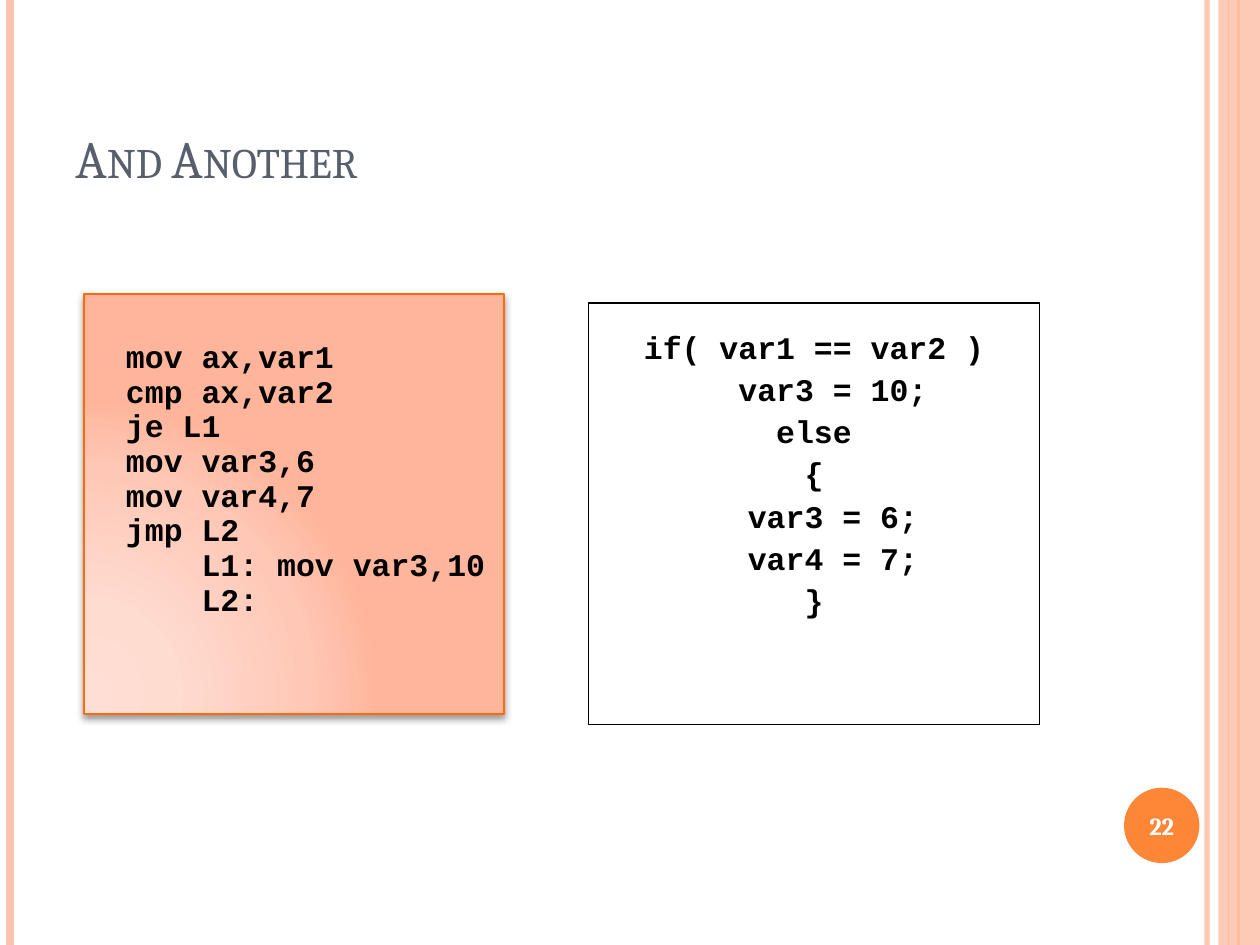
from dataclasses import dataclass
from typing import Optional

from lxml import etree
from pptx import Presentation
from pptx.dml.color import RGBColor
from pptx.enum.shapes import MSO_CONNECTOR, MSO_SHAPE
from pptx.enum.text import MSO_ANCHOR, PP_ALIGN
from pptx.oxml import parse_xml
from pptx.oxml.ns import nsdecls, qn
from pptx.util import Cm, Pt

LINE = MSO_CONNECTOR.STRAIGHT
RECT, OVAL = MSO_SHAPE.RECTANGLE, MSO_SHAPE.OVAL
TOP, MID, BASE = MSO_ANCHOR.TOP, MSO_ANCHOR.MIDDLE, MSO_ANCHOR.BOTTOM
LEFT, MIDST = PP_ALIGN.LEFT, PP_ALIGN.CENTER
WIDE, HIGH = 25.4, 19.05


@dataclass(frozen=True)
class Theme:
    pale: str = "FEC3AE"
    orange: str = "FE8637"
    edge: str = "FF6B0A"
    slate: str = "575F6D"
    black: str = "000000"
    white: str = "FFFFFF"
    glow: tuple = ((0, "FFDED5"), (30, "FFDBD0"), (75, "FFC8B6"), (100, "FFB59B"))
    serif: str = "Cambria"
    mono: str = "Courier New"
    head: int = 30
    code: int = 18
    page: int = 14


@dataclass(frozen=True)
class Box:
    left: float
    top: float
    width: float
    height: float

    def place(self) -> tuple:
        return Cm(self.left), Cm(self.top), Cm(self.width), Cm(self.height)


@dataclass(frozen=True)
class Stripe:
    x: float
    width: float
    color: str
    alpha: int = 100


@dataclass(frozen=True)
class Style:
    font: str
    size: int
    color: str
    bold: bool = True
    align: PP_ALIGN = LEFT
    anchor: MSO_ANCHOR = TOP
    pitch: Optional[object] = None
    gap: float = 0


THEME = Theme()
STRIPES = (
    Stripe(24.33, 3, THEME.pale, 93),
    Stripe(0.2, 4.5, THEME.pale),
    Stripe(24.97, 1.5, THEME.orange),
    Stripe(24.77, 0.75, THEME.orange),
)
ASM = (
    "mov ax,var1",
    "cmp ax,var2",
    "je L1",
    "mov var3,6",
    "mov var4,7",
    "jmp L2",
    "    L1: mov var3,10",
    "    L2:",
)
BRANCH = (
    "if( var1 == var2 )",
    "  var3 = 10;",
    "else",
    "{",
    "  var3 = 6;",
    "  var4 = 7;",
    "}",
)


def fade(node, alpha: int) -> None:
    """Set the opacity, in percent, of the first colour under node."""
    color = next(node.iter(qn("a:srgbClr")))
    etree.SubElement(color, qn("a:alpha")).set("val", str(alpha * 1000))


def draw_stripe(slide, item: Stripe) -> None:
    line = slide.shapes.add_connector(LINE, Cm(item.x), 0, Cm(item.x), Cm(HIGH))
    line.line.color.rgb = RGBColor.from_string(item.color)
    line.line.width = Pt(item.width)
    props = line._element.spPr
    if item.alpha < 100:
        fade(props, item.alpha)
    etree.SubElement(props, qn("a:effectLst"))


def draw_shape(slide, kind, box: Box, fill: Optional[str] = None,
               edge: Optional[str] = None, width: float = 1):
    shape = slide.shapes.add_shape(kind, *box.place())
    shape.shadow.inherit = False
    if fill:
        shape.fill.solid()
        shape.fill.fore_color.rgb = RGBColor.from_string(fill)
    else:
        shape.fill.background()
    if edge:
        shape.line.color.rgb = RGBColor.from_string(edge)
        shape.line.width = Pt(width)
    else:
        shape.line.fill.background()
    return shape


def add_glow(shape) -> None:
    """Give the shape a radial gradient and a soft shadow below."""
    stops = "".join(
        f'<a:gs pos="{pos * 1000}"><a:srgbClr val="{color}"/></a:gs>'
        for pos, color in THEME.glow
    )
    props = shape._element.spPr
    props.replace(props.find(qn("a:noFill")), parse_xml(
        f'<a:gradFill {nsdecls("a")} rotWithShape="1"><a:gsLst>{stops}</a:gsLst>'
        '<a:path path="circle"><a:fillToRect l="5000" t="100000" r="120000" '
        'b="10000"/></a:path></a:gradFill>'))
    props.find(qn("a:effectLst")).append(parse_xml(
        f'<a:outerShdw {nsdecls("a")} blurRad="{Pt(4)}" dist="{Pt(2)}" '
        f'dir="5400000" rotWithShape="0"><a:srgbClr val="{THEME.black}">'
        '<a:alpha val="40000"/></a:srgbClr></a:outerShdw>'))


def write(shape, lines: tuple, style: Style, pads: tuple = (0, 0, 0, 0)) -> None:
    """Fill the shape with one paragraph a line; pads are left, top, right, bottom."""
    frame = shape.text_frame
    frame.word_wrap = True
    frame.vertical_anchor = style.anchor
    (frame.margin_left, frame.margin_top,
     frame.margin_right, frame.margin_bottom) = map(Cm, pads)
    for row, text in enumerate(lines):
        para = frame.add_paragraph() if row else frame.paragraphs[0]
        para.alignment = style.align
        para.space_before = Pt(style.gap if row else 0)
        if style.pitch:
            para.line_spacing = style.pitch
        run = para.add_run()
        run.text = text
        run.font.name = style.font
        run.font.size = Pt(style.size)
        run.font.bold = style.bold
        run.font.color.rgb = RGBColor.from_string(style.color)


def main() -> None:
    deck = Presentation()
    deck.slide_width, deck.slide_height = Cm(WIDE), Cm(HIGH)
    slide = deck.slides.add_slide(deck.slide_layouts[5])

    for item in STRIPES:
        draw_stripe(slide, item)
    band = draw_shape(slide, RECT, Box(24.56, 0, 0.84, HIGH), THEME.pale)
    fade(band._element.spPr, 87)
    # The last stripe runs over the band.

    title = slide.shapes.title
    title.left, title.top, title.width, title.height = Box(
        1.27, 0.76, 20.75, 3.18).place()
    write(title, ("And Another",),
          Style(THEME.serif, THEME.head, THEME.slate, False, anchor=BASE),
          (0.25, 0.13, 0.25, 0.13))
    title.text_frame.paragraphs[0].runs[0].font._element.set("cap", "small")

    disc = draw_shape(slide, OVAL, Box(22.66, 15.88, 1.52, 1.52), THEME.orange)
    write(disc, ("22",), Style(THEME.serif, THEME.page, THEME.white,
                               align=MIDST, anchor=MID))

    panel = draw_shape(slide, RECT, Box(1.69, 5.93, 8.47, 8.47), edge=THEME.edge)
    add_glow(panel)
    write(panel, ASM, Style(THEME.mono, THEME.code, THEME.black,
                            pitch=Pt(19.8)), (0.85, 0.93, 0, 0))

    frame = draw_shape(slide, RECT, Box(11.86, 6.11, 9.1, 8.49),
                       edge=THEME.black, width=0.75)
    write(frame, BRANCH, Style(THEME.mono, THEME.code, THEME.black, align=MIDST,
                               pitch=0.9, gap=4.7), (0.38, 0.58, 0.38, 0.51))

    deck.save("out.pptx")


if __name__ == "__main__":
    main()
